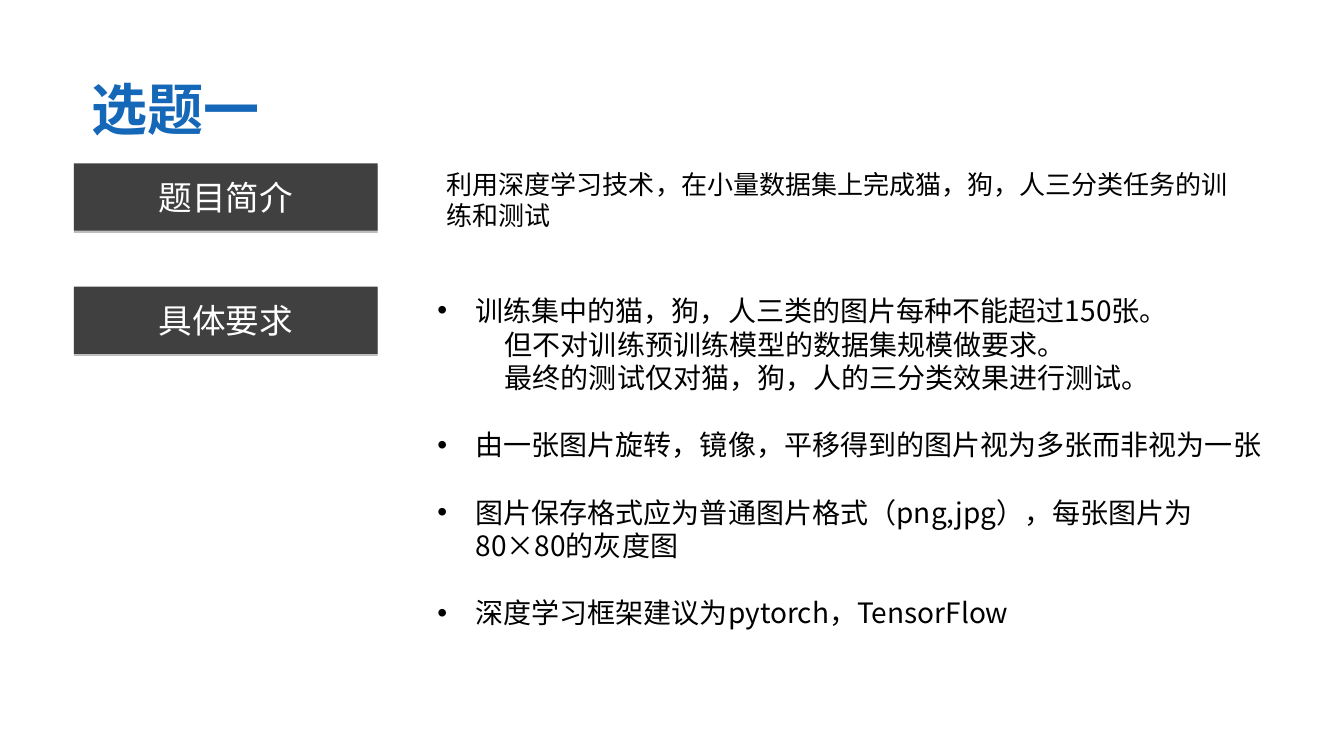
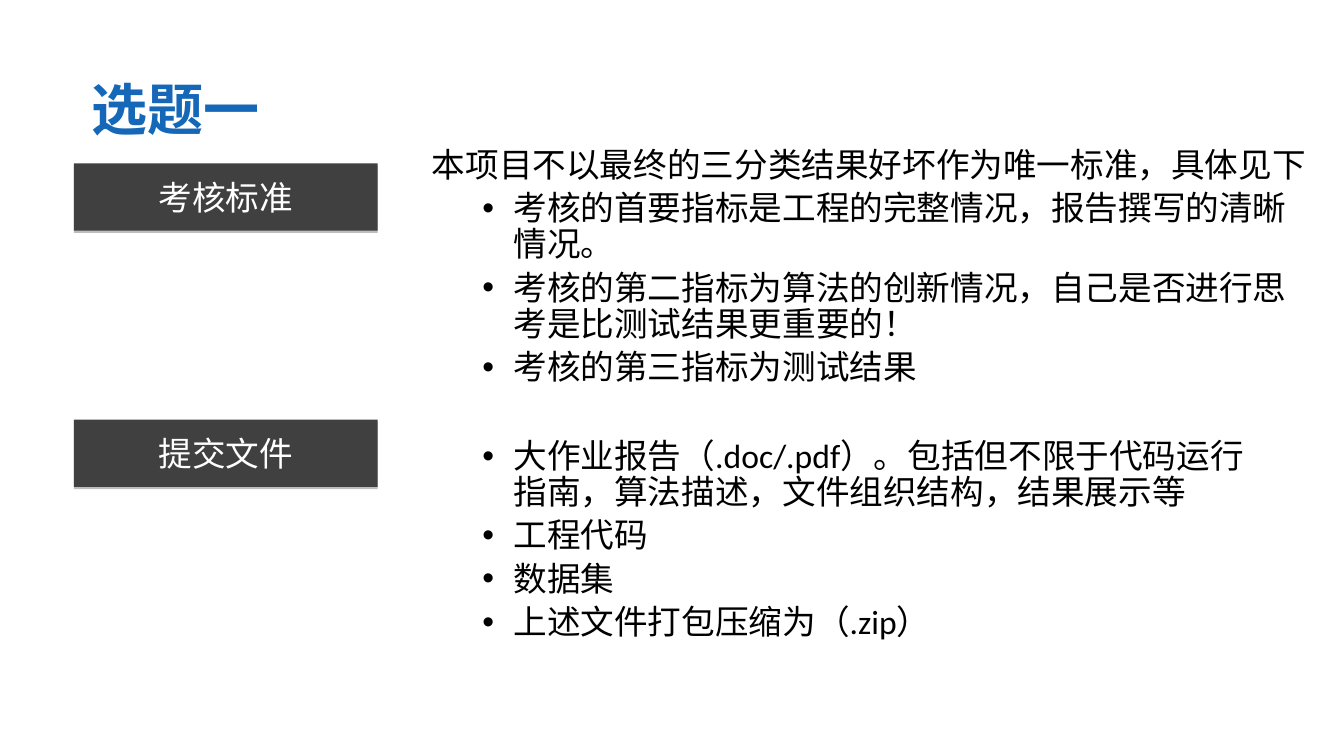
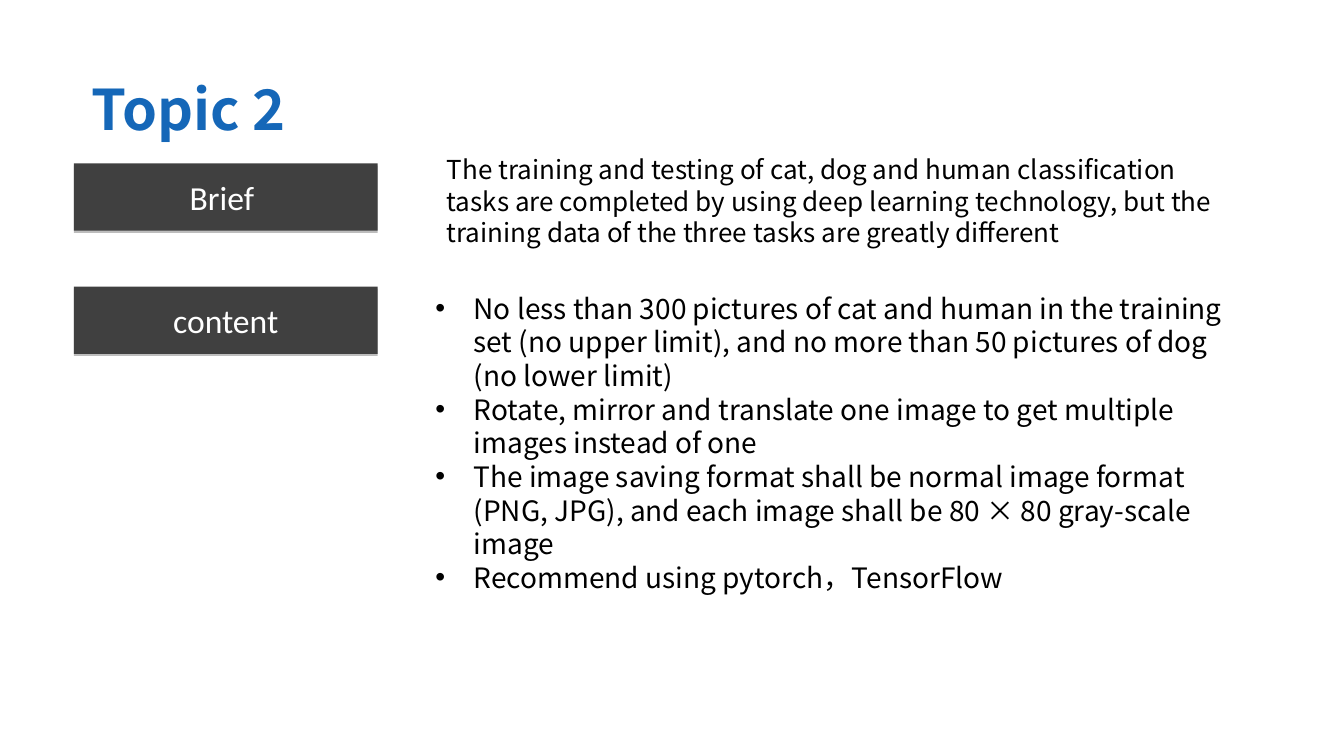
from dataclasses import dataclass
from typing import Any

import pptx
import pptx.dml.color
import pptx.enum.shapes
import pptx.enum.text
import pptx.oxml
import pptx.oxml.ns
import pptx.util

WIDE, HIGH = 13.33, 7.5
COL, ROW = WIDE / 100, HIGH / 100  # the grid is 100 columns by 100 rows
LATIN, HAN = "Calibri", "Noto Sans CJK SC"
BLUE, GRAY, BLACK, WHITE = "1567B8", "404040", "000000", "FFFFFF"
ALIGN = pptx.enum.text.PP_ALIGN
Inches, Pt = pptx.util.Inches, pptx.util.Pt


@dataclass
class Box:
    """A place on the grid, in columns and rows."""
    left: float
    top: float
    width: float
    height: float

    def spans(self) -> tuple[int, int, int, int]:
        return (Inches(self.left * COL), Inches(self.top * ROW),
                Inches(self.width * COL), Inches(self.height * ROW))


@dataclass
class Para:
    text: str
    margin: float = 0
    hang: float = 0
    before: float = 0


@dataclass
class Tag:
    text: str
    top: float


@dataclass
class Body:
    box: Box
    paras: list[Para]
    size: float = 20
    font: str = HAN
    spacing: float = 1


@dataclass
class Page:
    title: str
    tags: list[Tag]
    bodies: list[Body]


def point(text: str, before: float = 0) -> Para:
    return Para(text, 0.38, 0.38, before)


def mark(text: str, before: float = 5) -> Para:
    return Para(text, 0.81, 0.31, before)


TITLE = Box(5.85, 9.7, 79.5, 9.2)
FIRST, SECOND, THIRD = 21.6, 37.9, 55.5

PAGES = [
    Page("选题一", [Tag("题目简介", FIRST), Tag("具体要求", SECOND)], [
        Body(Box(32.5, FIRST, 60.6, 9.7), [
            Para("利用深度学习技术，在小量数据集上完成猫，狗，人三分类任务的训练和测试"),
        ], size=18.6),
        Body(Box(31.8, SECOND, 63.7, 46.3), [
            point("训练集中的猫，狗，人三类的图片每种不能超过150张。"),
            Para("但不对训练预训练模型的数据集规模做要求。", 0.67),
            Para("最终的测试仅对猫，狗，人的三分类效果进行测试。", 0.67),
            point("由一张图片旋转，镜像，平移得到的图片视为多张而非视为一张", 24),
            point("图片保存格式应为普通图片格式（png,jpg），每张图片为80×80的灰度图", 24),
            point("深度学习框架建议为pytorch，TensorFlow", 24),
        ]),
    ]),
    Page("选题一", [Tag("考核标准", FIRST), Tag("提交文件", THIRD)], [
        Body(Box(31.4, 18.8, 66.8, 33.2), [
            Para("本项目不以最终的三分类结果好坏作为唯一标准，具体见下"),
            mark("考核的首要指标是工程的完整情况，报告撰写的清晰情况。"),
            mark("考核的第二指标为算法的创新情况，自己是否进行思考是比测试结果更重要的！"),
            mark("考核的第三指标为测试结果"),
        ], size=24, font=LATIN, spacing=0.9),
        Body(Box(31.4, 57.3, 62.25, 28.4), [
            mark("大作业报告（.doc/.pdf）。包括但不限于代码运行指南，算法描述，文件组织结构，结果展示等", 0),
            mark("工程代码"),
            mark("数据集"),
            mark("上述文件打包压缩为（.zip）"),
        ], size=24, font=LATIN, spacing=0.9),
    ]),
    Page("Topic 2", [Tag("Brief ", FIRST), Tag("content", SECOND)], [
        Body(Box(32.5, 19.6, 60.6, 13.9), [
            Para("The training and testing of cat, dog and human classification tasks are "
                 "completed by using deep learning technology, but the training data of "
                 "the three tasks are greatly different"),
        ], size=18.6),
        Body(Box(31.65, SECOND, 62.25, 41.3), [
            point("No less than 300 pictures of cat and human in the training set "
                  "(no upper limit), and no more than 50 pictures of dog (no lower limit)"),
            point("Rotate, mirror and translate one image to get multiple images instead of one"),
            point("The image saving format shall be normal image format (PNG, JPG), "
                  "and each image shall be 80 × 80 gray-scale image"),
            point("Recommend using pytorch，TensorFlow"),
        ]),
    ]),
]


def paint(color: Any, code: str) -> None:
    color.rgb = pptx.dml.color.RGBColor.from_string(code)


def add(parent: Any, tag: str, **attrs: Any) -> Any:
    """Append an XML element and return it."""
    node = pptx.oxml.parse_xml(f"<{tag} {pptx.oxml.ns.nsdecls('a')}/>")
    for key, value in attrs.items():
        node.set(key, str(value))
    parent.append(node)
    return node


def write(frame: Any, paras: list[Para], *, size: float, color: str = BLACK,
          font: str = HAN, bold: bool = False, align: Any = ALIGN.LEFT,
          spacing: float = 1, inset: tuple[float, float] = (0.1, 0.05)) -> None:
    frame.word_wrap = True
    frame.auto_size = pptx.enum.text.MSO_AUTO_SIZE.NONE
    frame.vertical_anchor = pptx.enum.text.MSO_ANCHOR.MIDDLE
    frame.margin_left = frame.margin_right = Inches(inset[0])
    frame.margin_top = frame.margin_bottom = Inches(inset[1])
    for i, item in enumerate(paras):
        para = frame.paragraphs[0] if i == 0 else frame.add_paragraph()
        props = para._p.get_or_add_pPr()
        props.set("marL", str(Inches(item.margin)))
        props.set("indent", str(-Inches(item.hang)))
        if item.hang:
            add(props, "a:buFont", typeface="Arial")
            add(props, "a:buChar", char="•")
        para.alignment = align
        para.line_spacing = spacing
        para.space_before = Pt(item.before)
        run = para.add_run()
        run.text = item.text
        run.font.size, run.font.bold, run.font.name = Pt(size), bold, font
        paint(run.font.color, color)
        add(run._r.get_or_add_rPr(), "a:ea", typeface=HAN)


def draw_tag(slide: Any, tag: Tag) -> None:
    shape = slide.shapes.add_shape(pptx.enum.shapes.MSO_SHAPE.RECTANGLE,
                                   *Box(5.5, tag.top, 22.6, 8.9).spans())
    shape.fill.solid()
    paint(shape.fill.fore_color, GRAY)
    shape.line.fill.background()
    shape.shadow.inherit = False
    effects = shape._element.spPr.find(pptx.oxml.ns.qn("a:effectLst"))
    shade = add(effects, "a:outerShdw", blurRad=0, dist=Pt(1.6), dir=90 * 60000,
                algn="t", rotWithShape=0)
    add(add(shade, "a:srgbClr", val=BLACK), "a:alpha", val=25000)
    write(shape.text_frame, [Para(tag.text)], size=24, color=WHITE, font=LATIN,
          align=ALIGN.CENTER)


def draw_page(deck: Any, page: Page) -> None:
    slide = deck.slides.add_slide(deck.slide_layouts[5])
    title = slide.shapes.title
    title.left, title.top, title.width, title.height = TITLE.spans()
    write(title.text_frame, [Para(page.title)], size=40, color=BLUE, bold=True,
          align=ALIGN.JUSTIFY, inset=(0.13, 0.07))
    for tag in page.tags:
        draw_tag(slide, tag)
    for body in page.bodies:
        area = slide.shapes.add_textbox(*body.box.spans())
        write(area.text_frame, body.paras, size=body.size, font=body.font,
              spacing=body.spacing)


def main() -> None:
    deck = pptx.Presentation()
    deck.slide_width, deck.slide_height = Inches(WIDE), Inches(HIGH)
    for page in PAGES:
        draw_page(deck, page)
    deck.save("out.pptx")


if __name__ == "__main__":
    main()
